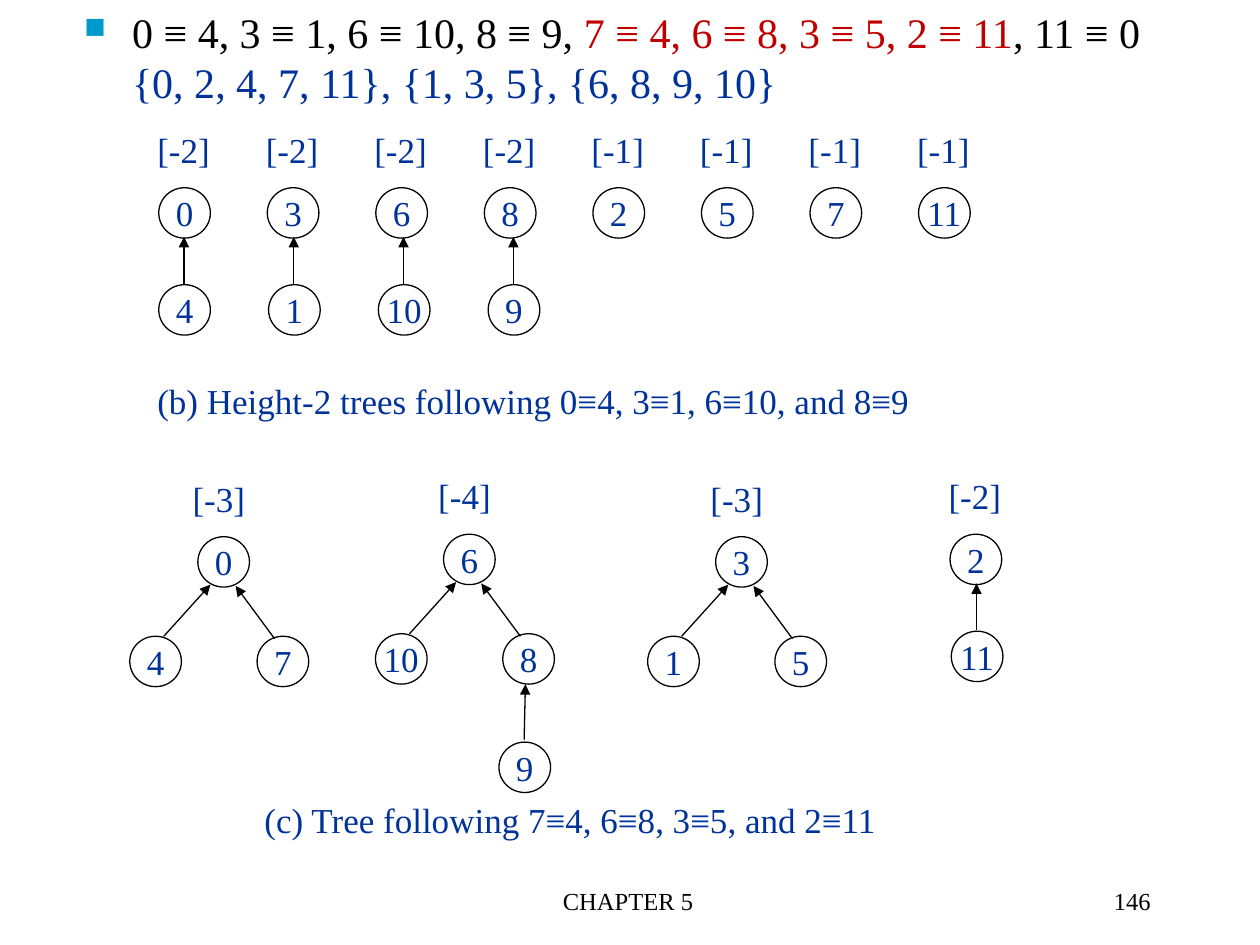
from lxml import etree
from pptx import Presentation
from pptx.dml.color import RGBColor
from pptx.enum.shapes import MSO_CONNECTOR, MSO_SHAPE
from pptx.enum.text import MSO_ANCHOR, PP_ALIGN
from pptx.oxml.ns import qn
from pptx.util import Inches, Pt

OVAL = MSO_SHAPE.OVAL
STRAIGHT = MSO_CONNECTOR.STRAIGHT
MIDDLE = MSO_ANCHOR.MIDDLE
LEFT, CENTER, RIGHT = PP_ALIGN.LEFT, PP_ALIGN.CENTER, PP_ALIGN.RIGHT

FONT = "Times New Roman"
BLACK, BLUE, RED, WHITE, CYAN = "000000", "003399", "C00000", "FFFFFF", "0099CC"
NODE_WIDTH, NODE_HEIGHT = 0.41, 0.4


def rgb(hex_color):
    """Turn a hex string into a colour."""
    return RGBColor.from_string(hex_color)


def style(paragraph, size, color=None, align=LEFT):
    """Set the font and alignment of a paragraph."""
    paragraph.alignment = align
    paragraph.font.name = FONT
    paragraph.font.size = Pt(size)
    if color:
        paragraph.font.color.rgb = rgb(color)


def add_text(slide, text, left, top, width, height=0.44, size=20, color=BLUE, align=LEFT):
    """Add a single line of text."""
    box = slide.shapes.add_textbox(Inches(left), Inches(top), Inches(width), Inches(height))
    box.text_frame.word_wrap = True
    paragraph = box.text_frame.paragraphs[0]
    paragraph.text = text
    style(paragraph, size, color, align)


def add_node(slide, value, left, top, filled=False):
    """Add a circled tree node."""
    node = slide.shapes.add_shape(
        OVAL, Inches(left), Inches(top), Inches(NODE_WIDTH), Inches(NODE_HEIGHT))
    node.shadow.inherit = False
    if filled:
        node.fill.solid()
        node.fill.fore_color.rgb = rgb(WHITE)
    else:
        node.fill.background()
    node.line.color.rgb = rgb(BLACK)
    node.line.width = Pt(0.75)
    frame = node.text_frame
    frame.word_wrap = False
    frame.vertical_anchor = MIDDLE
    frame.paragraphs[0].text = str(value)
    style(frame.paragraphs[0], 20, BLUE, CENTER)


def add_arrow(slide, x1, y1, x2, y2):
    """Add an arrow pointing from a child to its parent."""
    arrow = slide.shapes.add_connector(STRAIGHT, Inches(x1), Inches(y1), Inches(x2), Inches(y2))
    arrow.line.color.rgb = rgb(BLACK)
    arrow.line.width = Pt(0.75)
    etree.SubElement(arrow.line._get_or_add_ln(), qn("a:tailEnd"), type="triangle")
    etree.SubElement(arrow._element.spPr, qn("a:effectLst"))


def add_root(slide, count, value, left, top, label_dx=-0.11):
    """Add a root node with its bracketed count above."""
    add_text(slide, f"[{count}]", left + label_dx, top - 0.52, 0.67)
    add_node(slide, value, left, top)


def add_only_child(slide, value, left, top, shift=0.0):
    """Add one child straight below the root at the given place."""
    add_node(slide, value, left + shift, top + 0.77, filled=True)
    center = left + 0.2 + shift
    add_arrow(slide, center, top + 0.76, center, top + 0.39)


def add_two_child_tree(slide, count, root, children, left, top):
    """Add a root with a left and a right child."""
    add_root(slide, count, root, left, top, label_dx=-0.14)
    left_child, right_child = children
    add_node(slide, left_child, left - 0.54, top + 0.79)
    add_arrow(slide, left - 0.27, top + 0.79, left + 0.1, top + 0.38)
    add_node(slide, right_child, left + 0.47, top + 0.79, filled=True)
    add_arrow(slide, left + 0.61, top + 0.81, left + 0.3, top + 0.39)


def add_heading(slide):
    """Add the bulleted equivalences and the resulting classes."""
    box = slide.shapes.add_textbox(Inches(0.57), 0, Inches(8.95), Inches(1.5))
    box.text_frame.word_wrap = True
    paragraph = box.text_frame.paragraphs[0]
    properties = paragraph._p.get_or_add_pPr()
    properties.set("marL", str(Inches(0.38)))
    properties.set("indent", str(-Inches(0.38)))
    bullet_color = etree.SubElement(properties, qn("a:buClr"))
    etree.SubElement(bullet_color, qn("a:srgbClr"), val=CYAN)
    etree.SubElement(properties, qn("a:buSzPct"), val="70000")
    etree.SubElement(properties, qn("a:buChar"), char="■")
    style(paragraph, 24)
    parts = [
        ("0 ≡ 4, 3 ≡ 1, 6 ≡ 10, 8 ≡ 9, ", BLACK),
        ("7 ≡ 4, 6 ≡ 8, 3 ≡ 5, 2 ≡ 11", RED),
        (", 11 ≡ 0", BLACK),
        ("{0, 2, 4, 7, 11}, {1, 3, 5}, {6, 8, 9, 10}", BLUE),
    ]
    for text, color in parts:
        if text.startswith("{"):
            paragraph.add_line_break()
        run = paragraph.add_run()
        run.text = text
        run.font.color.rgb = rgb(color)


def add_height_two_trees(slide):
    """Add the row of trees for part (b)."""
    left, top, step = 1.26, 1.49, 6.03 / 7
    for i, value in enumerate([0, 3, 6, 8, 2, 5, 7, 11]):
        add_root(slide, -2 if i < 4 else -1, value, left + i * step, top)
    for i, value in enumerate([4, 1, 10, 9]):
        add_only_child(slide, value, left + i * step, top, shift=0.01 * i)
    add_text(slide, "(b) Height-2 trees following 0≡4, 3≡1, 6≡10, and 8≡9", 1.15, 2.96, 7.34)


def add_merged_trees(slide):
    """Add the trees for part (c)."""
    add_two_child_tree(slide, -3, 0, (4, 7), 1.57, 4.26)
    add_two_child_tree(slide, -4, 6, (10, 8), 3.52, 4.24)
    add_node(slide, 9, 3.96, 5.89, filled=True)
    add_arrow(slide, 4.16, 5.87, 4.17, 5.43)
    add_two_child_tree(slide, -3, 3, (1, 5), 5.68, 4.26)
    add_root(slide, -2, 2, 7.54, 4.24)
    add_only_child(slide, 11, 7.54, 4.24, shift=0.01)
    add_text(slide, "(c) Tree following 7≡4, 6≡8, 3≡5, and 2≡11", 2, 6.29, 6.38)


def main():
    """Build the slide and save it."""
    deck = Presentation()
    deck.slide_width, deck.slide_height = Inches(10), Inches(7.5)
    slide = deck.slides.add_slide(deck.slide_layouts[6])
    add_text(slide, "CHAPTER 5", 3.4, 6.98, 3.17, 0.5, 14, BLACK, CENTER)
    add_text(slide, "146", 7.15, 6.98, 2.08, 0.5, 14, BLACK, RIGHT)
    add_height_two_trees(slide)
    add_merged_trees(slide)
    add_heading(slide)
    deck.save("out.pptx")


if __name__ == "__main__":
    main()
